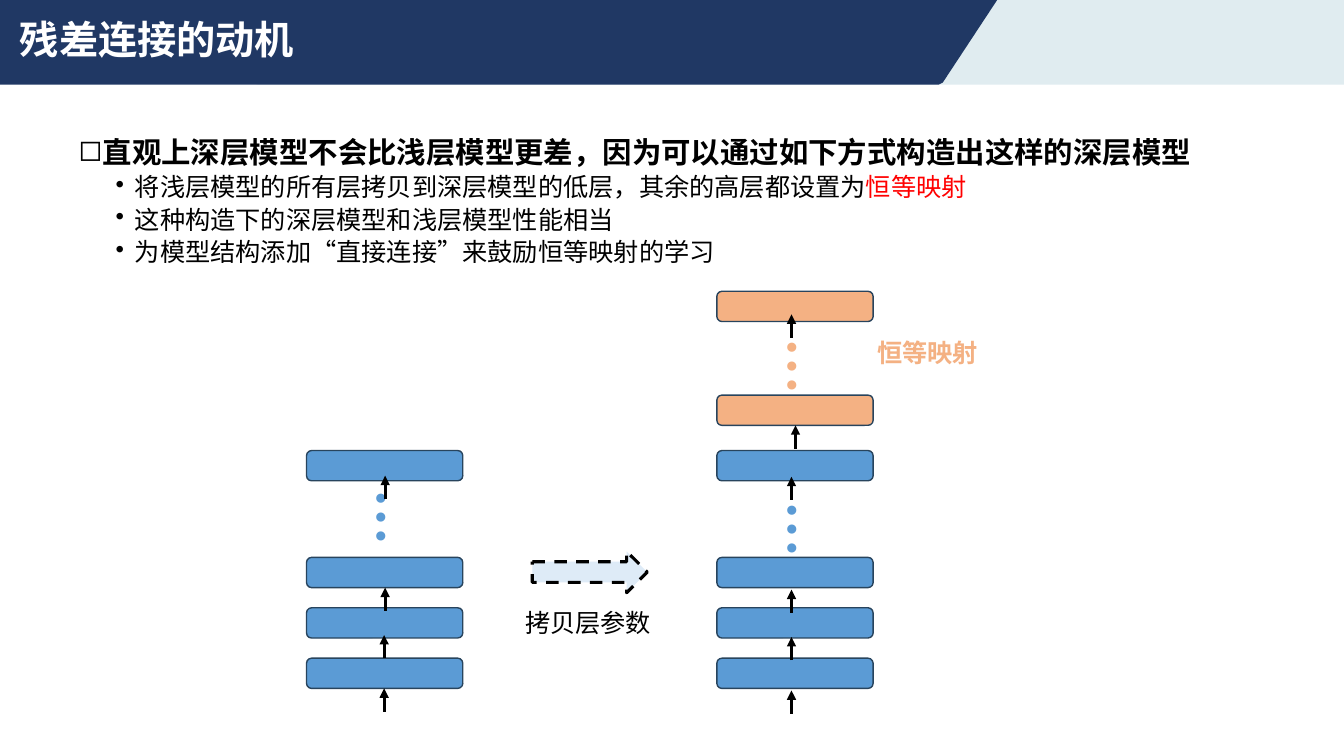
from lxml import etree
from pptx import Presentation
from pptx.dml.color import RGBColor
from pptx.enum.dml import MSO_LINE
from pptx.enum.shapes import MSO_CONNECTOR, MSO_SHAPE
from pptx.enum.text import MSO_ANCHOR
from pptx.oxml.ns import qn
from pptx.util import Pt

PX = 9144
FONT = "Times New Roman"
NAVY, PALE, BLUE, ORANGE = "203864", "E0ECF0", "5B9BD5", "F4B183"
EDGE, BLACK, WHITE, RED, ICE = "28445D", "000000", "FFFFFF", "FF0000", "DEEBF7"
ROUNDED, RIGHT_ARROW = MSO_SHAPE.ROUNDED_RECTANGLE, MSO_SHAPE.RIGHT_ARROW
STRAIGHT, DASH, MIDDLE = MSO_CONNECTOR.STRAIGHT, MSO_LINE.DASH, MSO_ANCHOR.MIDDLE
LAYER_WIDTH, LAYER_HEIGHT, ARROW_LENGTH = 155, 30, 23
SHALLOW_TOPS = (653, 603, 553, 447)


def px(*lengths):
    """Turn px lengths into EMU."""
    return [length * PX for length in lengths]


def color(value):
    """Turn a hex string into a colour."""
    return RGBColor.from_string(value)


def style_font(font, size, shade, bold=False):
    """Set the typeface, size, colour and weight of a font."""
    font.name, font.size, font.bold = FONT, Pt(size), bold
    font.color.rgb = color(shade)


def add_text(page, box, text, size, shade, bold=False):
    """Place a one-line text box and return it."""
    label = page.shapes.add_textbox(*px(*box))
    label.text_frame.word_wrap = True
    para = label.text_frame.paragraphs[0]
    para.text = text
    style_font(para.font, size, shade, bold)
    return label


def add_polygon(page, points, fill):
    """Draw a closed borderless outline."""
    builder = page.shapes.build_freeform(*points[0], scale=PX)
    builder.add_line_segments(points[1:], close=True)
    shape = builder.convert_to_shape()
    shape.shadow.inherit = False
    shape.fill.solid()
    shape.fill.fore_color.rgb = color(fill)
    shape.line.fill.background()


def add_block(page, kind, box, fill, edge, width):
    """Place a filled and outlined preset shape and return it."""
    shape = page.shapes.add_shape(kind, *px(*box))
    shape.shadow.inherit = False
    shape.fill.solid()
    shape.fill.fore_color.rgb = color(fill)
    shape.line.color.rgb = color(edge)
    shape.line.width = Pt(width)
    return shape


def add_up_arrow(page, x, tip):
    """Draw a short arrow that points up to its tip."""
    arrow = page.shapes.add_connector(STRAIGHT, *px(x, tip + ARROW_LENGTH, x, tip))
    arrow.line.color.rgb = color(BLACK)
    arrow.line.width = Pt(2.25)
    etree.SubElement(arrow.line._get_or_add_ln(), qn("a:tailEnd"), type="triangle")
    etree.SubElement(arrow._element.spPr, qn("a:effectLst"))


def add_banner(page, box):
    """Draw the two-tone header with the slide title."""
    left, top, width, height = box
    right, bottom = left + width, top + height
    add_polygon(page, [(left + 581, top), (left + 575, top + 2), (left + 254, bottom),
                       (right, bottom), (right, top)], PALE)
    add_polygon(page, [(left, top), (left + 989, top), (left + 935, bottom - 2),
                       (left + 931, bottom), (left, bottom)], NAVY)
    title = add_text(page, (left + 10, top - 31, 1150, 145),
                     "残差连接的动机", 28, WHITE, True)
    title.text_frame.vertical_anchor = MIDDLE
    title.text_frame.paragraphs[0].line_spacing = 0.9


def add_points(page, box):
    """Write the claim and its bulleted reasons."""
    frame = page.shapes.add_textbox(*px(*box)).text_frame
    frame.word_wrap = True
    points = [
        (0, [("直观上深层模型不会比浅层模型更差，因为可以通过如下方式构造出这样的深层模型", BLACK)]),
        (1, [("将浅层模型的所有层拷贝到深层模型的低层，其余的高层都设置为", BLACK),
             ("恒等映射", RED)]),
        (1, [("这种构造下的深层模型和浅层模型性能相当", BLACK)]),
        (1, [("为模型结构添加“直接连接”来鼓励恒等映射的学习", BLACK)]),
    ]
    for index, (level, spans) in enumerate(points):
        para = frame.add_paragraph() if index else frame.paragraphs[0]
        para.level = level
        para.line_spacing = 0.9
        if index:
            para.space_before = Pt(3.8)
        properties = para._p.get_or_add_pPr()
        properties.set("marL", str((56 if level else 19) * PX))
        properties.set("indent", str(-19 * PX))
        etree.SubElement(properties, qn("a:buChar"), char="•" if level else "◻")
        style_font(para.font, 18 if level else 21, BLACK, not level)
        for text, shade in spans:
            span = para.add_run()
            span.text = text
            if shade != BLACK:
                span.font.color.rgb = color(shade)


def add_stack(page, left, layers, dots, arrows):
    """Draw a column of layers with its dots and upward arrows."""
    for top, fill in layers:
        add_block(page, ROUNDED, (left, top, LAYER_WIDTH, LAYER_HEIGHT), fill, EDGE, 1)
    for top, shade in dots:
        label = add_text(page, (left + 1, top, 183, 77), "…", 40, shade, True)
        label.rotation = 90
    for offset, tip in arrows:
        add_up_arrow(page, left + offset, tip)


def add_copy_step(page, box):
    """Draw the dashed arrow and its caption."""
    left, top, width, height = box
    arrow = add_block(page, RIGHT_ARROW, (left + 17, top, 114, 41), ICE, BLACK, 2.25)
    arrow.line.dash_style = DASH
    add_text(page, (left, top + height - 40, width, 40), "拷贝层参数", 18, BLACK)


def main():
    """Build the slide and save it."""
    deck = Presentation()
    deck.slide_width, deck.slide_height = px(1333, 750)
    page = deck.slides.add_slide(deck.slide_layouts[6])
    add_banner(page, (0, 0, 1333, 84))
    add_points(page, (68, 132, 1150, 150))
    shallow = [(top, BLUE) for top in SHALLOW_TOPS]
    add_stack(page, 304, shallow, [(529, BLUE)],
              [(77, 683), (77, 630), (78, 583), (78, 472)])
    add_stack(page, 711, shallow + [(392, ORANGE), (289, ORANGE)],
              [(541, BLUE), (379, ORANGE)],
              [(74, 685), (74, 632), (74, 585), (74, 473), (78, 422), (74, 312)])
    add_text(page, (860, 330, 152, 40), "恒等映射", 18, ORANGE, True)
    add_copy_step(page, (511, 547, 155, 91))
    deck.save("out.pptx")


if __name__ == "__main__":
    main()
